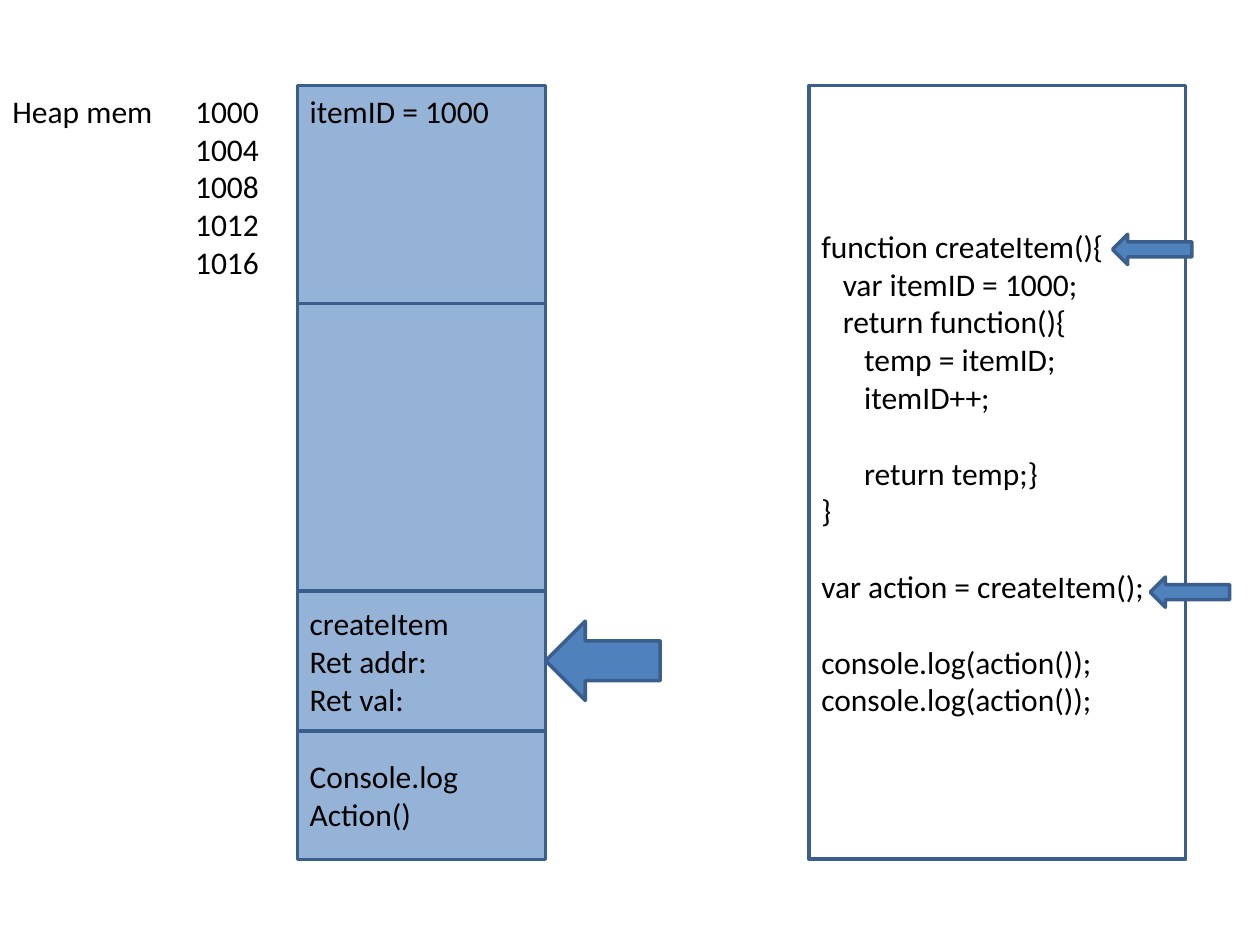
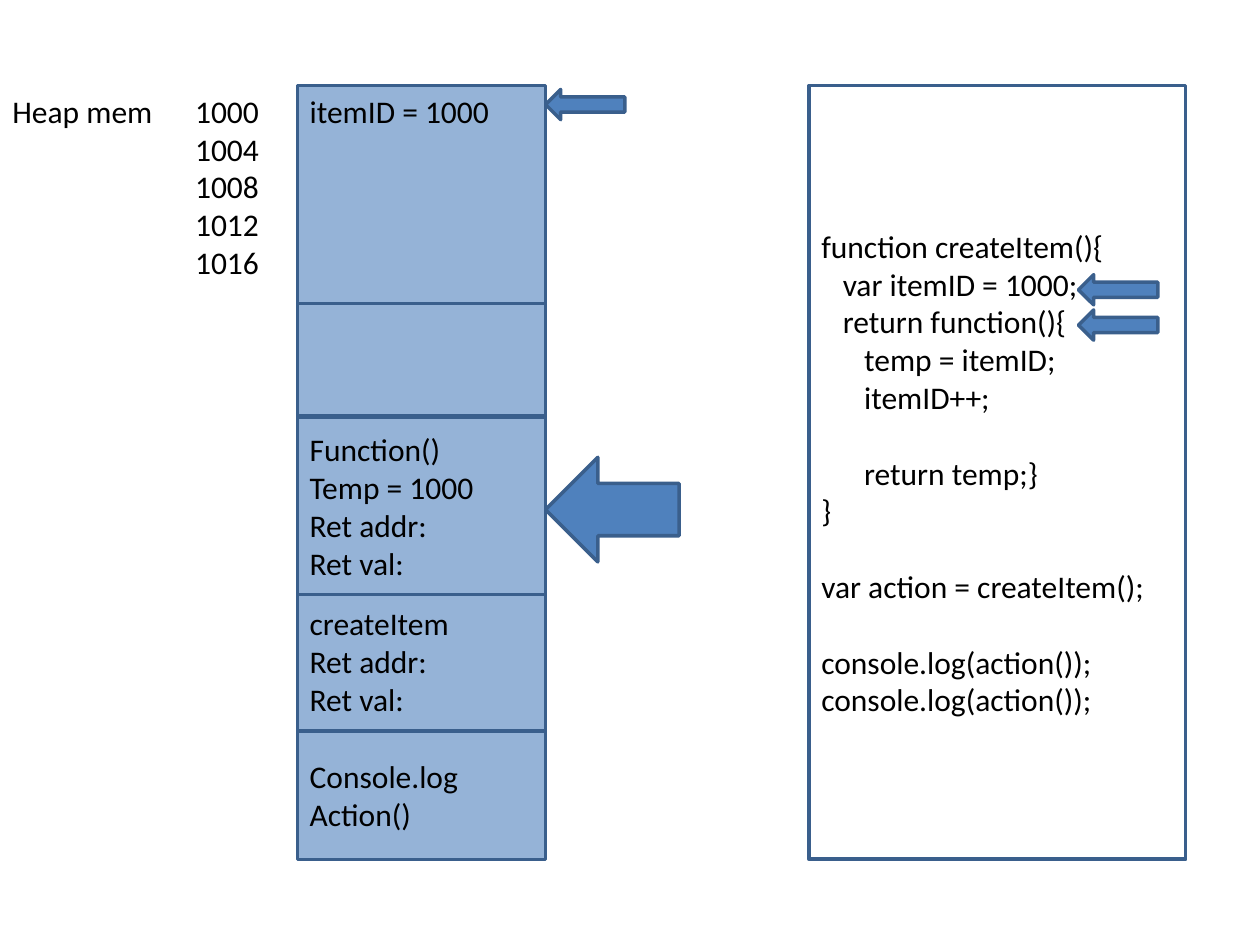
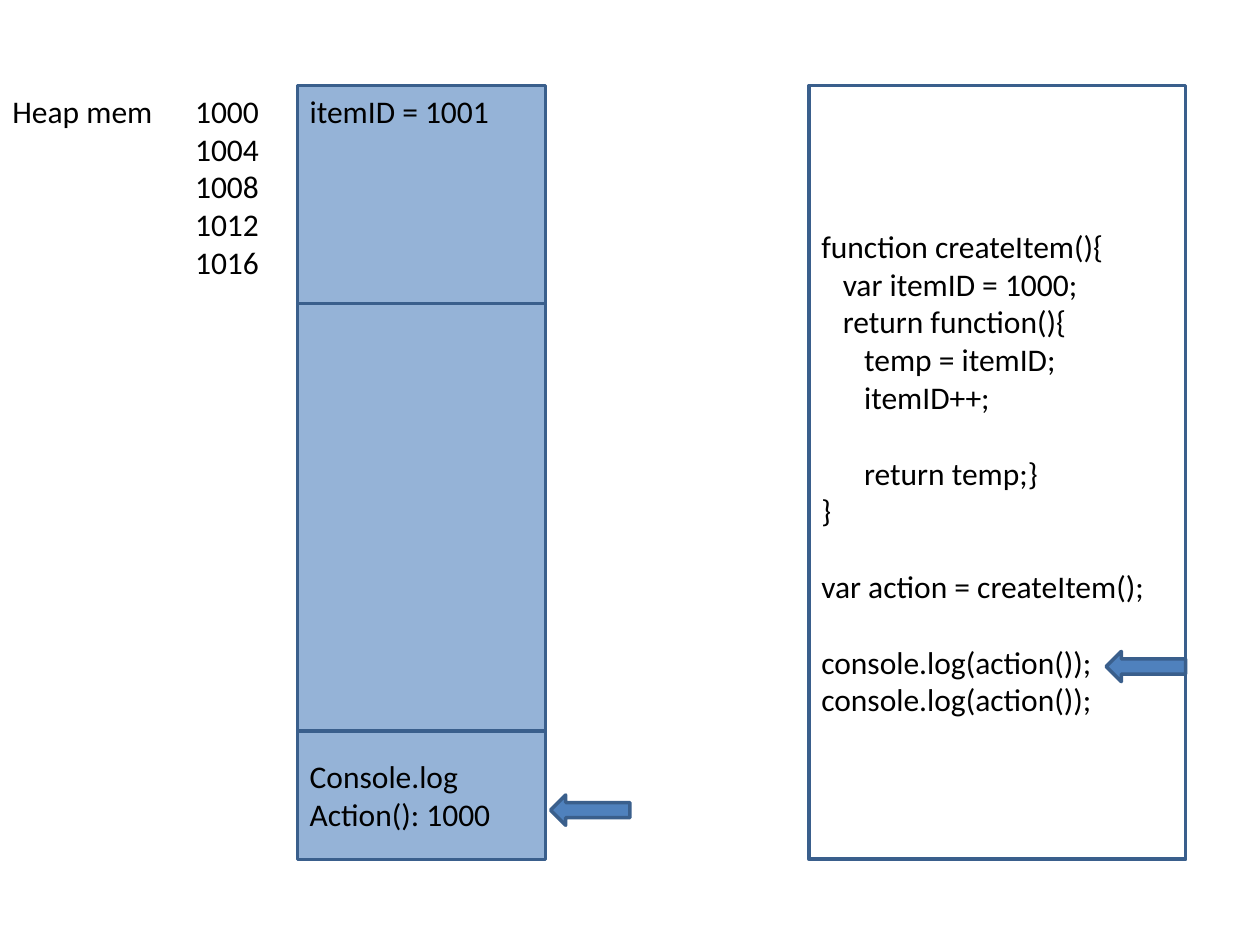
from pptx import Presentation
from pptx.dml.color import RGBColor
from pptx.enum.shapes import MSO_SHAPE as Preset
from pptx.enum.text import MSO_ANCHOR as Anchor, PP_ALIGN as Align
from pptx.oxml.ns import qn
from pptx.util import Inches, Pt
from lxml.etree import SubElement

COLORS = {
    "cell": "95B3D7",
    "arrow": "4F81BD",
    "border": "3A5F8C",
    "paper": "FFFFFF",
    "text": "000000",
}
FONT, FONT_SIZE = "Calibri", Pt(18)
BLANK_LINE_POINTS = 21.6
CODE_INDENT = Inches(0.17)
ADDRESS_TAB = Inches(1.45)

# The slide is a grid of 100 columns by 75 rows
COLUMNS, ROWS = 100, 75
STACK_LEFT, STACK_WIDTH = 23.6, 19.7
STACK_RIGHT = STACK_LEFT + STACK_WIDTH
TOP, HEAP_HEIGHT, PANEL_HEIGHT = 6.8, 17.3, 61.4
FREE_TOP = TOP + HEAP_HEIGHT
SMALL_ARROW = (6.3, 2.4)

# Indent level, blank lines before, code
CODE = [
    (0, 0, "function createItem(){"),
    (1, 0, "var itemID = 1000;"),
    (1, 0, "return function(){"),
    (2, 0, "temp = itemID;"),
    (2, 0, "itemID++;"),
    (2, 1, "return temp;}"),
    (0, 0, "}"),
    (0, 1, "var action = createItem();"),
    (0, 1, "console.log(action());"),
    (0, 0, "console.log(action());"),
]
ADDRESSES = ["Heap mem\t1000"] + [f"\t{address}" for address in range(1004, 1017, 4)]

# Frames between the heap and the console call: top, height, lines
CREATE_ITEM = (46.9, 11.1, ["createItem", "Ret addr:", "Ret val:"])
INNER_FUNCTION = (33.1, 14.1, ["Function()", "Temp = 1000", "Ret addr:", "Ret val:"])

# Arrows: left, top, (width, height)
STEPS = [
    {
        "item": "itemID = 1000",
        "call": "Action()",
        "frames": [(FREE_TOP, 22.8, []), CREATE_ITEM],
        "arrows": [(91.3, 45.8, SMALL_ARROW), (88.3, 18.6, SMALL_ARROW),
                   (STACK_RIGHT, 49.3, (9.1, 6.3))],
    },
    {
        "item": "itemID = 1000",
        "call": "Action()",
        "frames": [(FREE_TOP, 8.9, []), CREATE_ITEM, INNER_FUNCTION],
        "arrows": [(85.6, 21.8, SMALL_ARROW), (85.6, 24.6, SMALL_ARROW),
                   (STACK_RIGHT, 36.3, (10.6, 8.3)), (STACK_RIGHT, 7.1, SMALL_ARROW)],
    },
    {
        "item": "itemID = 1001",
        "call": "Action(): 1000",
        "frames": [(FREE_TOP, 33.9, [])],
        "arrows": [(87.8, 51.7, SMALL_ARROW), (43.7, 63.1, SMALL_ARROW)],
    },
]


class MemoryDiagram:
    def __init__(self, presentation):
        self.presentation = presentation
        self.column = presentation.slide_width / COLUMNS
        self.row = presentation.slide_height / ROWS
        self.slide = None

    def new_slide(self):
        self.slide = self.presentation.slides.add_slide(self.presentation.slide_layouts[6])

    def shape(self, preset, left, top, width, height, fill, border="border"):
        shape = self.slide.shapes.add_shape(
            preset, round(left * self.column), round(top * self.row),
            round(width * self.column), round(height * self.row))
        shape.shadow.inherit = False
        shape.fill.solid()
        shape.fill.fore_color.rgb = RGBColor.from_string(COLORS[fill])
        shape.line.color.rgb = RGBColor.from_string(COLORS[border])
        shape.line.width = Pt(2)
        return shape

    def set_lines(self, shape, lines, anchor):
        text_frame = shape.text_frame
        text_frame.word_wrap = True
        text_frame.vertical_anchor = anchor
        text_frame.text = "\n".join(lines)
        for paragraph in text_frame.paragraphs:
            paragraph.alignment = Align.LEFT
            for run in paragraph.runs:
                run.font.name, run.font.size = FONT, FONT_SIZE
                run.font.color.rgb = RGBColor.from_string(COLORS["text"])
        return text_frame.paragraphs

    def cell(self, top, height, lines, anchor=Anchor.MIDDLE):
        shape = self.shape(Preset.RECTANGLE, STACK_LEFT, top, STACK_WIDTH, height, "cell")
        if lines:
            self.set_lines(shape, lines, anchor)

    def code_panel(self):
        shape = self.shape(Preset.RECTANGLE, 64.2, TOP, 29.9, PANEL_HEIGHT, "paper")
        paragraphs = self.set_lines(shape, [text for _, _, text in CODE], Anchor.MIDDLE)
        for paragraph, (level, blanks, _) in zip(paragraphs, CODE):
            paragraph.space_before = Pt(blanks * BLANK_LINE_POINTS)
            properties = paragraph._p.get_or_add_pPr()
            properties.set("marL", str(level * CODE_INDENT))
            properties.set("indent", "0")

    def addresses(self):
        shape = self.shape(Preset.RECTANGLE, 0, TOP, 23.2, HEAP_HEIGHT, "paper", "paper")
        for paragraph in self.set_lines(shape, ADDRESSES, Anchor.TOP):
            tabs = SubElement(paragraph._p.get_or_add_pPr(), qn("a:tabLst"))
            SubElement(tabs, qn("a:tab"), pos=str(ADDRESS_TAB), algn="l")

    def arrow(self, left, top, size):
        self.shape(Preset.LEFT_ARROW, left, top, *size, "arrow")


def main():
    presentation = Presentation()
    presentation.slide_width, presentation.slide_height = Inches(10), Inches(7.5)
    diagram = MemoryDiagram(presentation)
    for step in STEPS:
        diagram.new_slide()
        diagram.code_panel()
        diagram.addresses()
        # Memory column
        for frame in step["frames"]:
            diagram.cell(*frame)
        diagram.cell(58, 10.2, ["Console.log", step["call"]])
        diagram.cell(TOP, HEAP_HEIGHT, [step["item"]], Anchor.TOP)
        # Pointers to the active lines and frames
        for arrow in step["arrows"]:
            diagram.arrow(*arrow)
    presentation.save("out.pptx")


if __name__ == "__main__":
    main()
